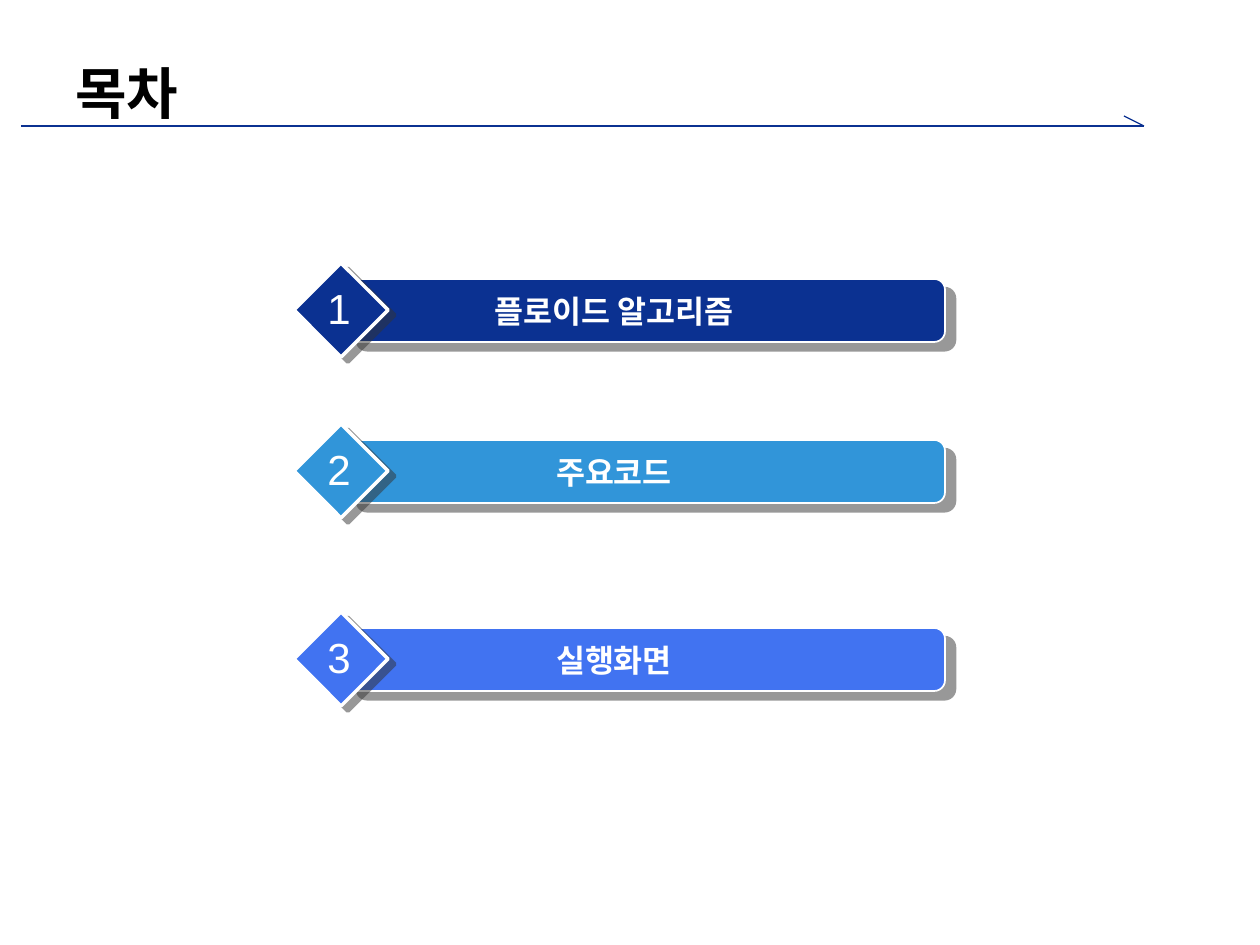
"""Build a contents slide with three numbered bars under a ruled title."""
import dataclasses

import lxml.etree
import pptx
import pptx.dml.color
import pptx.enum.shapes
import pptx.enum.text
import pptx.oxml.ns
import pptx.util

SCALE = 914400 / 126
HUES = {"navy": "0B3191", "sky": "3195D9", "blue": "4173F1",
        "white": "FFFFFF", "black": "000000", "shade": "333333"}
SHAPES = pptx.enum.shapes.MSO_SHAPE
ALIGN = pptx.enum.text.PP_ALIGN
ANCHOR = pptx.enum.text.MSO_ANCHOR


@dataclasses.dataclass(frozen=True)
class Entry:
    """One line of the contents."""
    label: str
    hue: str
    top: int


ENTRIES = [
    Entry("플로이드 알고리즘", "navy", 279),
    Entry("주요코드", "sky", 440),
    Entry("실행화면", "blue", 628),
]


def px(size: int) -> int:
    """Turn px into EMU."""
    return round(size * SCALE)


def tint(name: str) -> pptx.dml.color.RGBColor:
    """Look up a named colour."""
    return pptx.dml.color.RGBColor.from_string(HUES[name])


def child(parent, tag: str, **attrs: str):
    """Add a drawing element to a parent."""
    node = lxml.etree.SubElement(parent, pptx.oxml.ns.qn(tag))
    for key, value in attrs.items():
        node.set(key, value)
    return node


def write(slide, text: str, box: tuple[int, int, int, int], *, size: int,
          hue: str = "white", font: str = "Arial", bold: bool = False,
          wrap: bool = True, align=ALIGN.CENTER, anchor=ANCHOR.TOP) -> None:
    """Place a line of text."""
    frame = slide.shapes.add_textbox(*map(px, box)).text_frame
    frame.word_wrap = wrap
    frame.vertical_anchor = anchor
    para = frame.paragraphs[0]
    para.alignment = align
    run = para.add_run()
    run.text = text
    run.font.name = font
    run.font.size = pptx.util.Pt(size)
    run.font.bold = bold
    run.font.color.rgb = tint(hue)


def rule(slide, start: tuple[int, int], end: tuple[int, int]) -> None:
    """Draw a thin navy line."""
    line = slide.shapes.add_connector(
        pptx.enum.shapes.MSO_CONNECTOR.STRAIGHT, *map(px, start + end))
    line.line.color.rgb = tint("navy")
    line.line.width = pptx.util.Pt(0.75)
    child(line._element.spPr, "a:effectLst")


def block(slide, kind, box: tuple[int, int, int, int], hue: str,
          edge: int, drop: float, angle: int):
    """Draw a white-edged shape with a hard shadow."""
    shape = slide.shapes.add_shape(kind, *map(px, box))
    shape.fill.solid()
    shape.fill.fore_color.rgb = tint(hue)
    shape.line.color.rgb = tint("white")
    shape.line.width = pptx.util.Pt(edge)
    shape.shadow.inherit = False
    effects = shape._element.spPr.find(pptx.oxml.ns.qn("a:effectLst"))
    shadow = child(effects, "a:outerShdw", blurRad="0",
                   dist=str(pptx.util.Pt(drop)), dir=str(angle * 60000),
                   algn="ctr", rotWithShape="0")
    color = child(shadow, "a:srgbClr", val=HUES["shade"])
    child(color, "a:alpha", val="50000")
    return shape


def item(slide, number: int, entry: Entry) -> None:
    """Draw one numbered bar."""
    top = entry.top
    bar = block(slide, SHAPES.ROUNDED_RECTANGLE, (346, top, 599, 63),
                entry.hue, 1, 7.8, 40)
    bar.adjustments[0] = 0.17
    block(slide, SHAPES.DIAMOND, (294, top - 16, 94, 94),
          entry.hue, 2, 5, 37)
    write(slide, entry.label, (378, top + 7, 472, 50), size=18, bold=True)
    write(slide, str(number), (315, top - 3, 48, 63), size=24, wrap=False)


def main() -> None:
    """Build and save the slide."""
    deck = pptx.Presentation()
    deck.slide_width, deck.slide_height = px(1260), px(945)
    slide = deck.slides.add_slide(deck.slide_layouts[6])
    rule(slide, (21, 126), (1144, 126))
    rule(slide, (1124, 116), (1144, 126))
    write(slide, "목차", (63, 53, 1061, 78), size=32, hue="black",
          font="DejaVu Sans", bold=True, align=ALIGN.LEFT,
          anchor=ANCHOR.MIDDLE)
    for number, entry in enumerate(ENTRIES, 1):
        item(slide, number, entry)
    deck.save("out.pptx")


if __name__ == "__main__":
    main()
